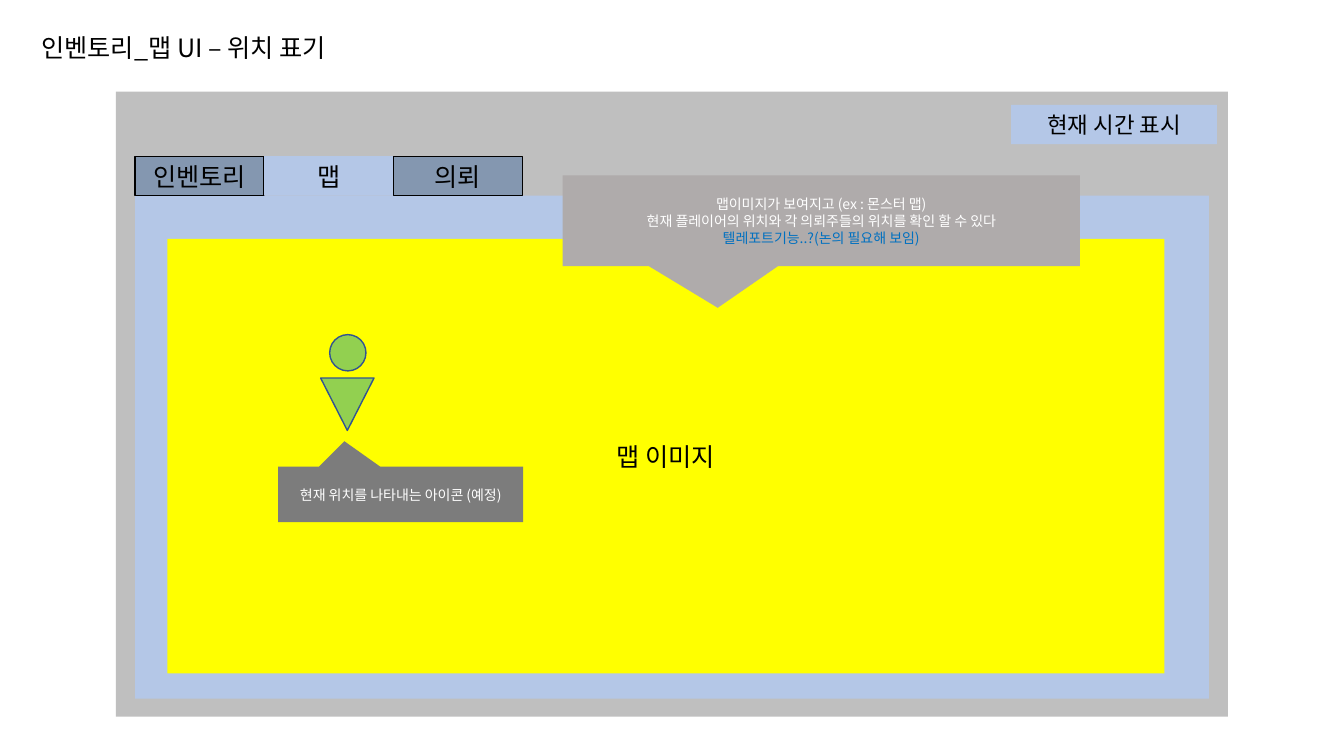
from dataclasses import dataclass

from lxml import etree
from pptx import Presentation
from pptx.dml.color import RGBColor
from pptx.enum.shapes import MSO_SHAPE
from pptx.enum.text import MSO_ANCHOR, MSO_AUTO_SIZE, PP_ALIGN
from pptx.oxml.ns import qn
from pptx.slide import Slide
from pptx.text.text import TextFrame
from pptx.util import Emu, Pt

RECT = MSO_SHAPE.RECTANGLE
CALLOUT = MSO_SHAPE.RECTANGULAR_CALLOUT
TRIANGLE = MSO_SHAPE.ISOSCELES_TRIANGLE
OVAL = MSO_SHAPE.OVAL
LEFT, CENTER = PP_ALIGN.LEFT, PP_ALIGN.CENTER
TOP, MIDDLE = MSO_ANCHOR.TOP, MSO_ANCHOR.MIDDLE
FIT_SHAPE = MSO_AUTO_SIZE.SHAPE_TO_FIT_TEXT

EMU_PER_PX = 9144
FONT = "Noto Sans CJK KR"
TITLE_LAYOUT = 5
COLORS = {
    "black": "000000",
    "white": "FFFFFF",
    "window": "BFBFBF",
    "panel": "B4C7E7",
    "tab": "8497B0",
    "map": "FFFF00",
    "player": "92D050",
    "player_edge": "325491",
    "map_note": "AFABAB",
    "icon_note": "7C7C7C",
    "question": "0070C0",
}


@dataclass(frozen=True)
class Line:
    text: str
    size: int = 18
    color: str = "black"


@dataclass(frozen=True)
class Part:
    box: tuple[int, int, int, int]
    fill: str
    lines: tuple[Line, ...] = ()
    kind: MSO_SHAPE = RECT
    edge: str | None = None
    rotation: int = 0
    pointer: tuple[float, ...] = ()


def px(length: int) -> Emu:
    return Emu(length * EMU_PER_PX)


def rgb(color: str) -> RGBColor:
    return RGBColor.from_string(COLORS[color])


def write_lines(frame: TextFrame, lines: tuple[Line, ...], align: PP_ALIGN) -> None:
    for index, line in enumerate(lines):
        paragraph = frame.add_paragraph() if index else frame.paragraphs[0]
        paragraph.alignment = align
        run = paragraph.add_run()
        run.text = line.text
        run.font.size = Pt(line.size)
        run.font.color.rgb = rgb(line.color)
        run.font.name = FONT
        east_asian = etree.SubElement(run._r.get_or_add_rPr(), qn("a:ea"))
        east_asian.set("typeface", FONT)


def write_title(slide: Slide, text: str) -> None:
    title = slide.shapes.title
    title.left, title.top, title.width, title.height = map(px, (31, 27, 331, 40))
    frame = title.text_frame
    frame.word_wrap = False
    frame.auto_size = FIT_SHAPE
    frame.vertical_anchor = TOP
    write_lines(frame, (Line(text),), LEFT)


def draw_part(slide: Slide, part: Part) -> None:
    shape = slide.shapes.add_shape(part.kind, *map(px, part.box))
    shape.shadow.inherit = False
    shape.rotation = part.rotation
    shape.fill.solid()
    shape.fill.fore_color.rgb = rgb(part.fill)
    if part.edge:
        shape.line.color.rgb = rgb(part.edge)
        shape.line.width = Pt(1)
    else:
        shape.line.fill.background()
    for index, offset in enumerate(part.pointer):
        shape.adjustments[index] = offset
    shape.text_frame.word_wrap = True
    shape.text_frame.vertical_anchor = MIDDLE
    write_lines(shape.text_frame, part.lines, CENTER)


def menu_tabs(names: tuple[str, ...], active: str) -> list[Part]:
    left, top, width, height = 134, 155, 128, 39
    return [
        Part(
            (left + index * width, top, width, height),
            "panel" if name == active else "tab",
            (Line(name),),
            edge=None if name == active else "black",
        )
        for index, name in enumerate(names)
    ]


def main() -> None:
    presentation = Presentation()
    presentation.slide_width = px(1333)
    presentation.slide_height = px(750)
    slide = presentation.slides.add_slide(presentation.slide_layouts[TITLE_LAYOUT])
    write_title(slide, "인벤토리_맵 UI – 위치 표기")

    map_note = (
        Line("맵이미지가 보여지고 (ex : 몬스터 맵)", 10, "white"),
        Line("현재 플레이어의 위치와 각 의뢰주들의 위치를 확인 할 수 있다", 10, "white"),
        Line("텔레포트기능..?(논의 필요해 보임)", 10, "question"),
    )
    icon_note = (Line("현재 위치를 나타내는 아이콘 (예정)", 10, "white"),)
    parts = [
        Part((115, 91, 1103, 620), "window"),
        Part((1003, 104, 204, 39), "panel", (Line("현재 시간 표시", 16),)),
        Part((134, 194, 1065, 499), "panel"),
        *menu_tabs(("인벤토리", "맵", "의뢰"), active="맵"),
        Part((166, 237, 989, 431), "map", (Line("맵 이미지"),)),
        Part((318, 375, 53, 52), "player", kind=TRIANGLE, edge="player_edge", rotation=180),
        Part((327, 332, 36, 36), "player", kind=OVAL, edge="player_edge"),
        Part((558, 174, 513, 90), "map_note", map_note, CALLOUT, pointer=(-0.2, 0.96)),
        Part((276, 463, 243, 55), "icon_note", icon_note, CALLOUT, pointer=(-0.23, -0.96)),
    ]
    for part in parts:
        draw_part(slide, part)
    presentation.save("out.pptx")


if __name__ == "__main__":
    main()
